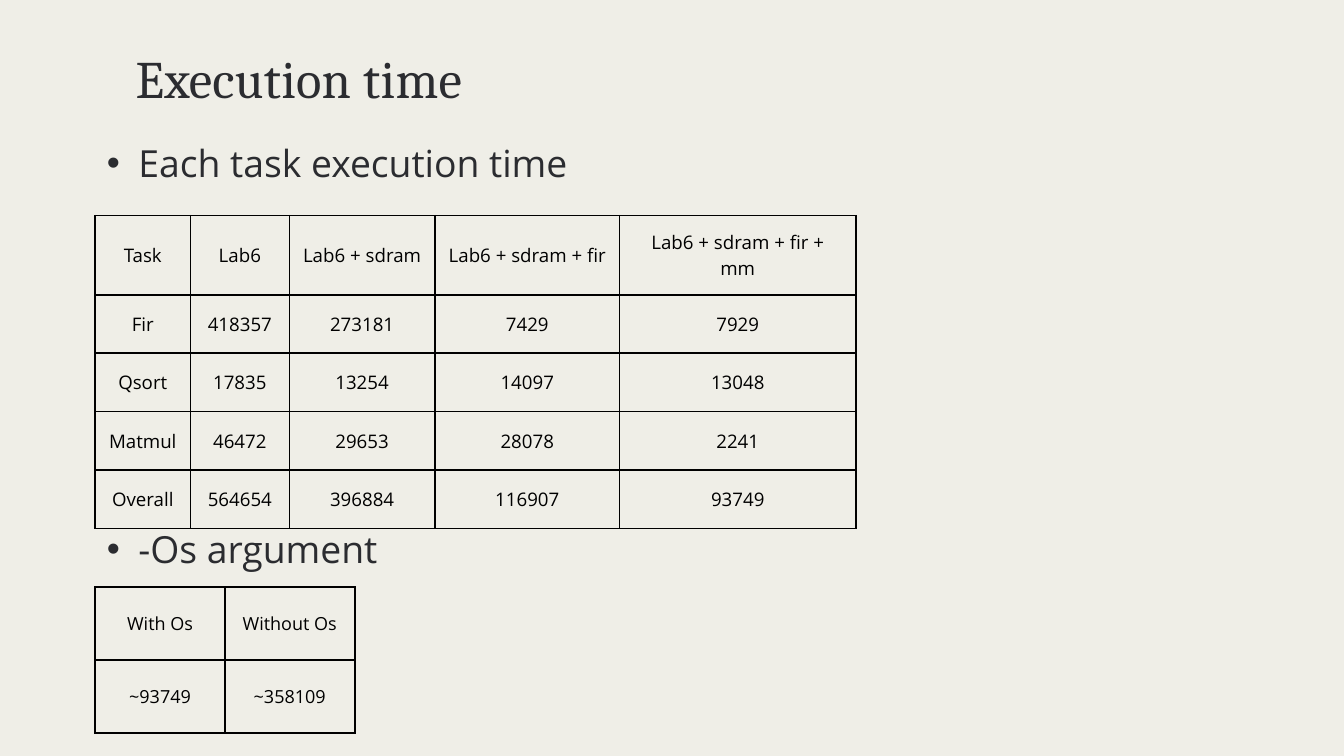
from lxml.etree import SubElement
from pptx import Presentation
from pptx.dml.color import RGBColor
from pptx.enum.text import MSO_ANCHOR, MSO_AUTO_SIZE, PP_ALIGN
from pptx.oxml.ns import qn
from pptx.util import Pt

PAPER, INK, BLACK = "EFEEE7", "2B2C30", "000000"
TITLE = "Execution time"
POINTS = [("Each task execution time", 142.6), ("-Os argument", 555.8)]
TASKS = [
    ("Task", "Lab6", "Lab6 + sdram", "Lab6 + sdram + fir", "Lab6 + sdram + fir + mm"),
    ("Fir", "418357", "273181", "7429", "7929"),
    ("Qsort", "17835", "13254", "14097", "13048"),
    ("Matmul", "46472", "29653", "28078", "2241"),
    ("Overall", "564654", "396884", "116907", "93749"),
]
FLAGS = [("With Os", "Without Os"), ("~93749", "~358109")]
GRIDS = [
    dict(rows=TASKS, top=231, wide=(102, 106, 156, 198, 253), high=62.6,
         pad=14.4, line=1.75, size=20, lead=28),
    dict(rows=FLAGS, top=629, wide=(139, 139), high=78,
         pad=7.2, line=2.17, size=19.3, lead=27),
]
LEFT = 102


def tint(code):
    """Turn a hex string into a colour."""
    return RGBColor.from_string(code)


def write(frame, text, size, lead, font="Open Sans", color=BLACK, align=PP_ALIGN.LEFT,
          pad=0, space=0, bullet=False):
    """Put one formatted paragraph into a text frame."""
    frame.word_wrap = True
    frame.margin_left = frame.margin_right = Pt(pad)
    frame.margin_top = frame.margin_bottom = Pt(pad)
    para = frame.paragraphs[0]
    para.alignment, para.line_spacing = align, Pt(lead)
    run = para.add_run()
    run.text = text
    run.font.size, run.font.name = Pt(size), font
    run.font.color.rgb = tint(color)
    if space:
        run.font._element.set("spc", str(round(space * 100)))
    if bullet:
        para.level = 1
        props = para._p.get_or_add_pPr()
        props.set("marL", str(Pt(67.6)))
        props.set("indent", str(Pt(-33.8)))
        SubElement(props, qn("a:buFont"), typeface="Arial")
        SubElement(props, qn("a:buChar"), char="•")


def add_text(slide, text, left, top, width, height, **form):
    """Add a text box with one paragraph."""
    box = slide.shapes.add_textbox(Pt(left), Pt(top), Pt(width), Pt(height))
    write(box.text_frame, text, **form)
    box.text_frame.auto_size = MSO_AUTO_SIZE.SHAPE_TO_FIT_TEXT


def edge(cell, line):
    """Draw a black border on all four sides of a cell."""
    props = cell._tc.get_or_add_tcPr()
    for side in ("lnL", "lnR", "lnT", "lnB"):
        rule = SubElement(props, qn("a:" + side), w=str(Pt(line)))
        fill = SubElement(rule, qn("a:solidFill"))
        SubElement(fill, qn("a:srgbClr"), val=BLACK)


def add_grid(slide, rows, top, wide, high, pad, line, size, lead):
    """Add a plain ruled table with centred text."""
    table = slide.shapes.add_table(len(rows), len(wide), Pt(LEFT), Pt(top),
                                   Pt(sum(wide)), Pt(high * len(rows))).table
    table.first_row = table.horz_banding = False
    for col, width in zip(table.columns, wide):
        col.width = Pt(width)
    for row, texts in zip(table.rows, rows):
        row.height = Pt(high)
        for cell, text in zip(row.cells, texts):
            write(cell.text_frame, text, size, lead, align=PP_ALIGN.CENTER)
            cell.margin_left = cell.margin_right = Pt(pad)
            cell.margin_top = cell.margin_bottom = Pt(pad)
            cell.vertical_anchor = MSO_ANCHOR.MIDDLE
            edge(cell, line)
            cell.fill.background()


def main():
    """Build the slide and save it."""
    deck = Presentation()
    deck.slide_width, deck.slide_height = Pt(1440), Pt(810)
    slide = deck.slides.add_slide(deck.slide_layouts[6])
    slide.background.fill.solid()
    slide.background.fill.fore_color.rgb = tint(PAPER)
    for grid in GRIDS:
        add_grid(slide, **grid)
    add_text(slide, TITLE, 145.4, 43.2, 772, 71.3, size=56.5, lead=73.5,
             font="Cambria", color=INK, space=0.3)
    for text, top in POINTS:
        add_text(slide, text, 80.6, top, 1340, 54, size=40, lead=56,
                 color=INK, bullet=True)
    deck.save("out.pptx")


if __name__ == "__main__":
    main()
